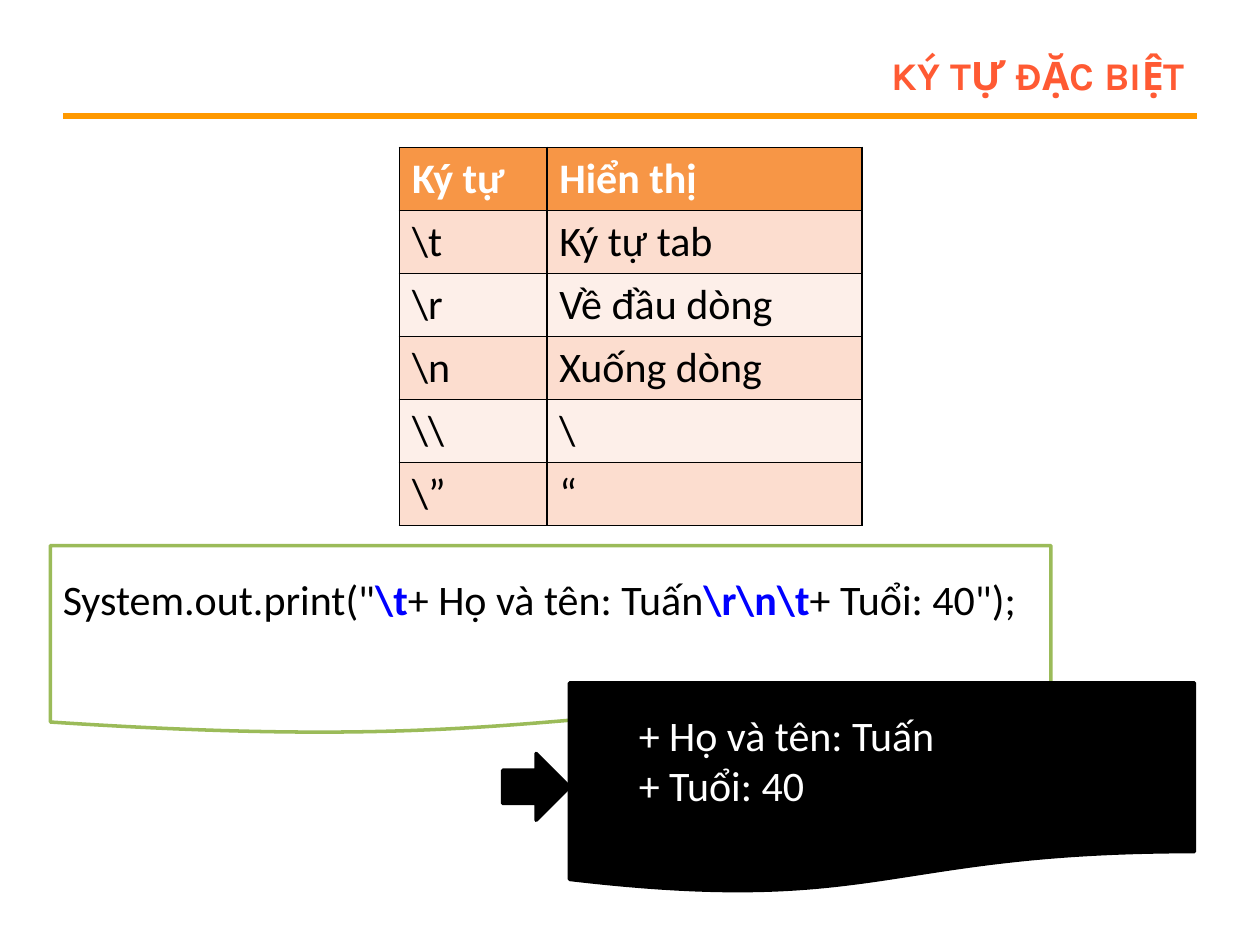
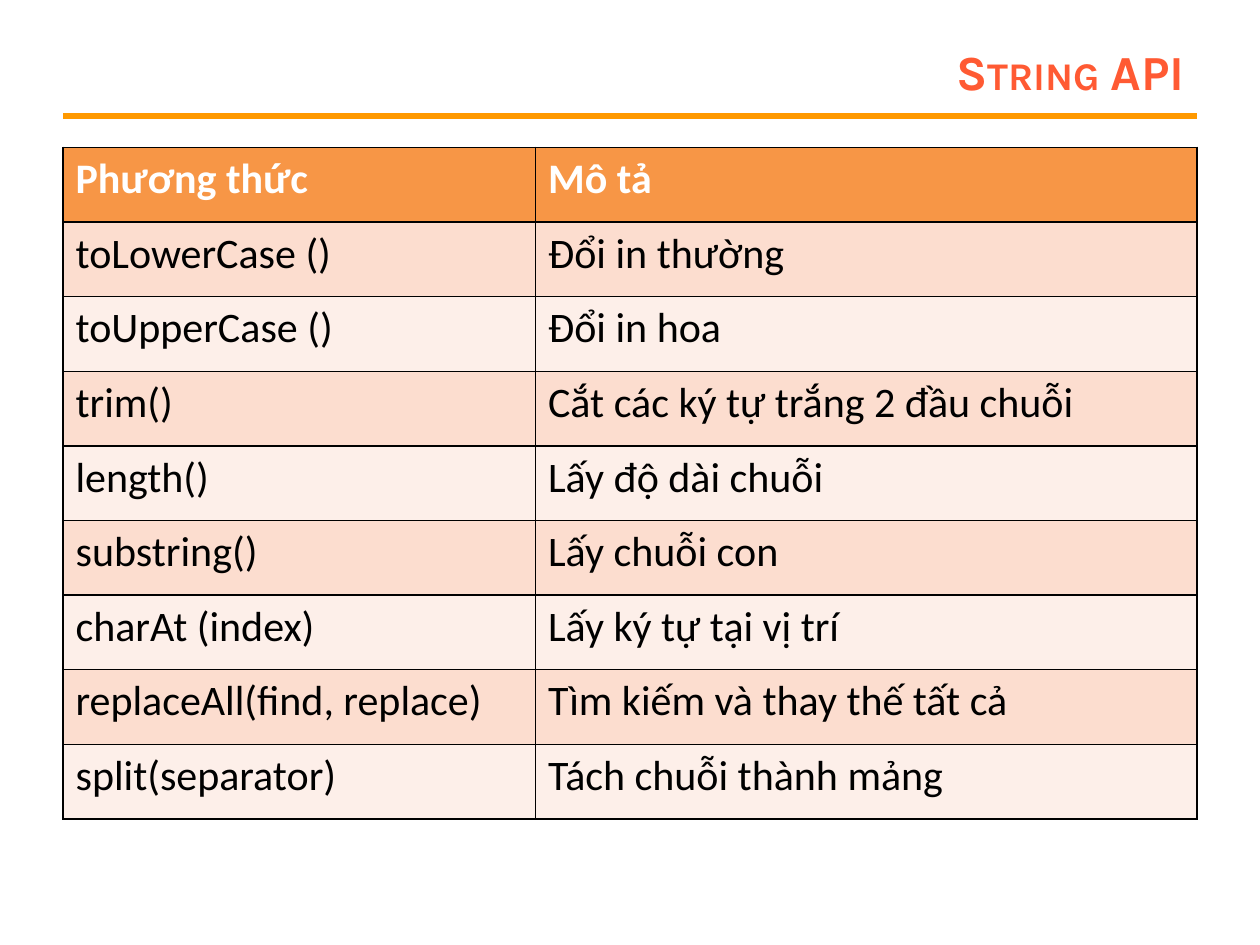
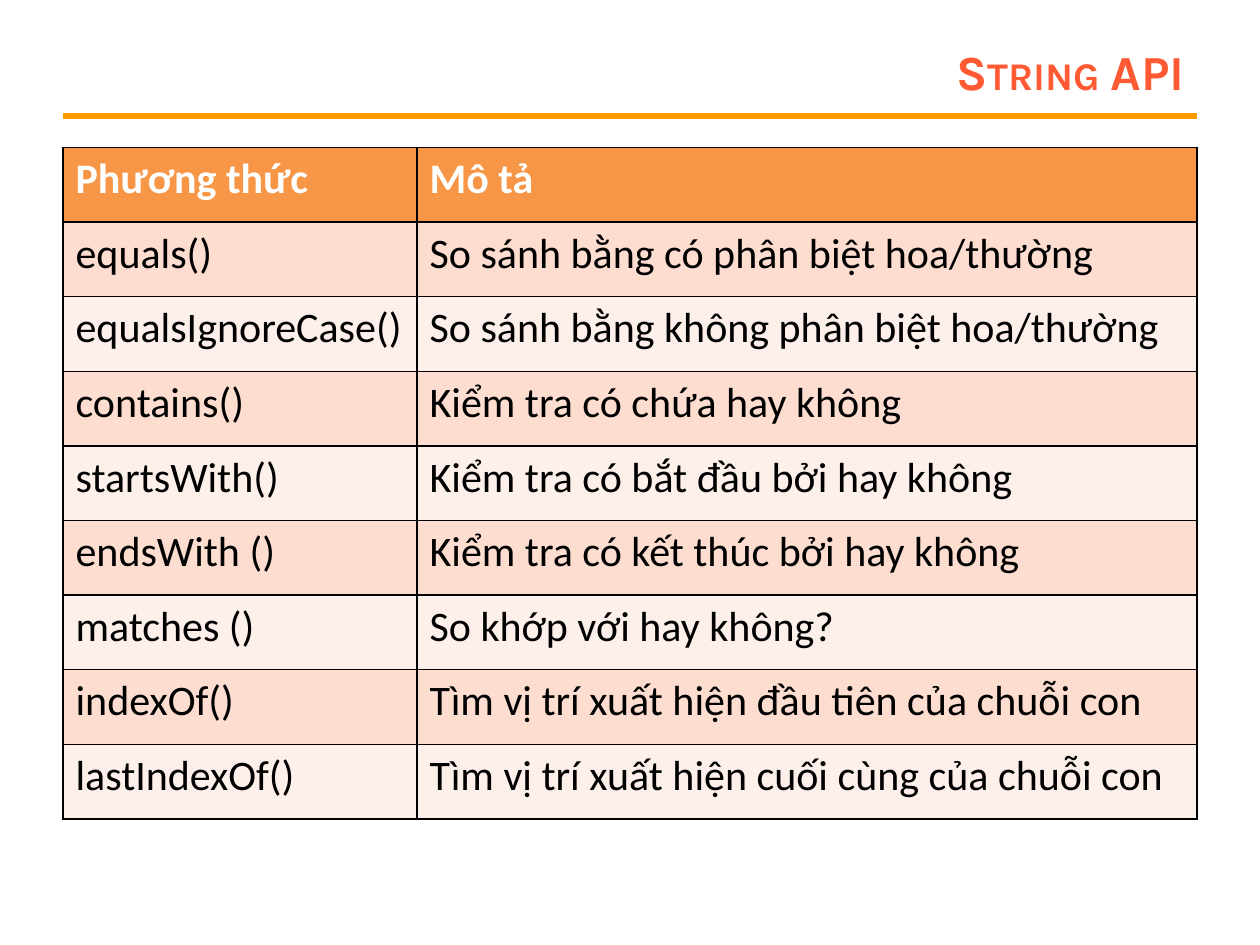
from lxml import etree
from pptx import Presentation
from pptx.dml.color import RGBColor
from pptx.enum import shapes, text
from pptx.oxml import ns
from pptx.util import Inches, Pt

COLORS = {
    "title": "FF5A33", "rule": "FF9900", "header": "F79646",
    "band_dark": "FCDDCF", "band_light": "FDEFE9", "code_line": "9BBB59",
    "escape": "0000FF", "black": "000000", "white": "FFFFFF",
}
TITLE_FORMAT = {"name": "Karla", "size": Pt(28), "bold": True}
BODY_FORMAT = {"name": "Calibri", "size": Pt(24), "bold": False}
BOLD_FORMAT = {**BODY_FORMAT, "bold": True}
LEFT, RIGHT, TABLE_TOP = 0.5, 9.5, 1.17


def color(name):
    return RGBColor.from_string(COLORS[name])


def box_lengths(box):
    return [Inches(length) for length in box]


def add_run(paragraph, content, format_values, color_name):
    run = paragraph.add_run()
    run.text = content
    for name, value in format_values.items():
        setattr(run.font, name, value)
    run.font.color.rgb = color(color_name)
    return run


def add_text_box(slide, box, **frame_values):
    shape = slide.shapes.add_textbox(*box_lengths(box))
    for name, value in {"word_wrap": True, **frame_values}.items():
        setattr(shape.text_frame, name, value)
    return shape


def add_panel(slide, kind, box, fill_name, line_name):
    shape = slide.shapes.add_shape(kind, *box_lengths(box))
    shape.shadow.inherit = False
    shape.fill.solid()
    shape.fill.fore_color.rgb = color(fill_name)
    shape.line.color.rgb = color(line_name)
    shape.line.width = Pt(2)
    return shape


def add_titled_slide(presentation, title):
    slide = presentation.slides.add_slide(presentation.slide_layouts[6])
    rule = slide.shapes.add_connector(
        shapes.MSO_CONNECTOR.STRAIGHT, *box_lengths((LEFT, 0.92, RIGHT, 0.92)))
    rule.line.color.rgb = color("rule")
    rule.line.width = Pt(3)
    etree.SubElement(rule._element.spPr, ns.qn("a:effectLst"))
    shape = add_text_box(slide, (2.25, 0.3, 7.25, 0.53),
                         vertical_anchor=text.MSO_ANCHOR.MIDDLE)
    paragraph = shape.text_frame.paragraphs[0]
    paragraph.alignment = text.PP_ALIGN.RIGHT
    run = add_run(paragraph, title, TITLE_FORMAT, "title")
    run.font._element.set("cap", "small")
    return slide


def add_cell_borders(cell):
    properties = cell._tc.get_or_add_tcPr()
    for position, side in enumerate(("lnL", "lnR", "lnT", "lnB")):
        line = etree.Element(ns.qn("a:" + side), w=str(Pt(1)))
        fill = etree.SubElement(line, ns.qn("a:solidFill"))
        etree.SubElement(fill, ns.qn("a:srgbClr"), val=COLORS["black"])
        properties.insert(position, line)


def add_banded_table(slide, box, column_widths, rows):
    table = slide.shapes.add_table(
        len(rows), len(column_widths), *box_lengths(box)).table
    for column, width in zip(table.columns, column_widths):
        column.width = Inches(width)
    for row_index, values in enumerate(rows):
        table.rows[row_index].height = Inches(box[3] / len(rows))
        if row_index == 0:
            fill_name, format_values, font_color = "header", BOLD_FORMAT, "white"
        else:
            fill_name = "band_dark" if row_index % 2 else "band_light"
            format_values, font_color = BODY_FORMAT, "black"
        for column_index, value in enumerate(values):
            cell = table.cell(row_index, column_index)
            cell.fill.solid()
            cell.fill.fore_color.rgb = color(fill_name)
            add_run(cell.text_frame.paragraphs[0], value, format_values, font_color)
            add_cell_borders(cell)


def add_code_panel(slide, box, parts):
    left, top, width, height = box
    add_panel(slide, shapes.MSO_SHAPE.FLOWCHART_DOCUMENT, box, "white", "code_line")
    shape = add_text_box(slide, (left, top + 0.17, width, 0.5), word_wrap=False,
                         auto_size=text.MSO_AUTO_SIZE.SHAPE_TO_FIT_TEXT)
    for content, is_escape in parts:
        add_run(shape.text_frame.paragraphs[0], content,
                BOLD_FORMAT if is_escape else BODY_FORMAT,
                "escape" if is_escape else "black")


def add_output_panel(slide, box, lines):
    left, top, width, height = box
    arrow_size = 0.53
    add_panel(slide, shapes.MSO_SHAPE.RIGHT_ARROW,
              (left - arrow_size, top + 0.56, arrow_size, arrow_size), "black", "black")
    add_panel(slide, shapes.MSO_SHAPE.FLOWCHART_DOCUMENT, box, "black", "black")
    shape = add_text_box(slide, (left, top + 0.16, width, 0.91),
                         margin_left=Inches(0.55),
                         auto_size=text.MSO_AUTO_SIZE.SHAPE_TO_FIT_TEXT)
    shape.line.color.rgb = color("black")
    shape.line.width = Pt(0.25)
    frame = shape.text_frame
    for index, line in enumerate(lines):
        paragraph = frame.add_paragraph() if index else frame.paragraphs[0]
        add_run(paragraph, line, BODY_FORMAT, "white")


def build_escape_slide(presentation):
    slide = add_titled_slide(presentation, "ký tự đặc biệt")
    add_code_panel(slide, (0.4, 4.33, 7.94, 1.5), [
        ('System.out.print("', False), ("\\t", True),
        ("+ Họ và tên: Tuấn", False), ("\\r\\n\\t", True),
        ('+ Tuổi: 40");', False),
    ])
    add_banded_table(slide, (3.17, TABLE_TOP, 3.67, 3), (1.17, 2.5), [
        ("Ký tự", "Hiển thị"),
        ("\\t", "Ký tự tab"),
        ("\\r", "Về đầu dòng"),
        ("\\n", "Xuống dòng"),
        ("\\\\", "\\"),
        ("\\”", "“"),
    ])
    add_output_panel(slide, (4.52, 5.42, 4.96, 1.67),
                     ("+ Họ và tên: Tuấn", "+ Tuổi: 40"))


def build_methods_slide(presentation, name_width, methods):
    slide = add_titled_slide(presentation, "String API")
    width = RIGHT - LEFT
    add_banded_table(slide, (LEFT, TABLE_TOP, width, 5.33),
                     (name_width, width - name_width),
                     [("Phương thức", "Mô tả"), *methods])


presentation = Presentation()
presentation.slide_width = Inches(10)
presentation.slide_height = Inches(7.5)
build_escape_slide(presentation)
build_methods_slide(presentation, 3.75, [
    ("toLowerCase ()", "Đổi in thường"),
    ("toUpperCase ()", "Đổi in hoa"),
    ("trim()", "Cắt các ký tự trắng 2 đầu chuỗi"),
    ("length()", "Lấy độ dài chuỗi"),
    ("substring()", "Lấy chuỗi con"),
    ("charAt (index)", "Lấy ký tự tại vị trí"),
    ("replaceAll(find, replace)", "Tìm kiếm và thay thế tất cả"),
    ("split(separator)", "Tách chuỗi thành mảng"),
])
build_methods_slide(presentation, 2.81, [
    ("equals()", "So sánh bằng có phân biệt hoa/thường"),
    ("equalsIgnoreCase()", "So sánh bằng không phân biệt hoa/thường"),
    ("contains()", "Kiểm tra có chứa hay không"),
    ("startsWith()", "Kiểm tra có bắt đầu bởi hay không"),
    ("endsWith ()", "Kiểm tra có kết thúc bởi hay không"),
    ("matches ()", "So khớp với hay không?"),
    ("indexOf()", "Tìm vị trí xuất hiện đầu tiên của chuỗi con"),
    ("lastIndexOf()", "Tìm vị trí xuất hiện cuối cùng của chuỗi con"),
])
presentation.save("out.pptx")
